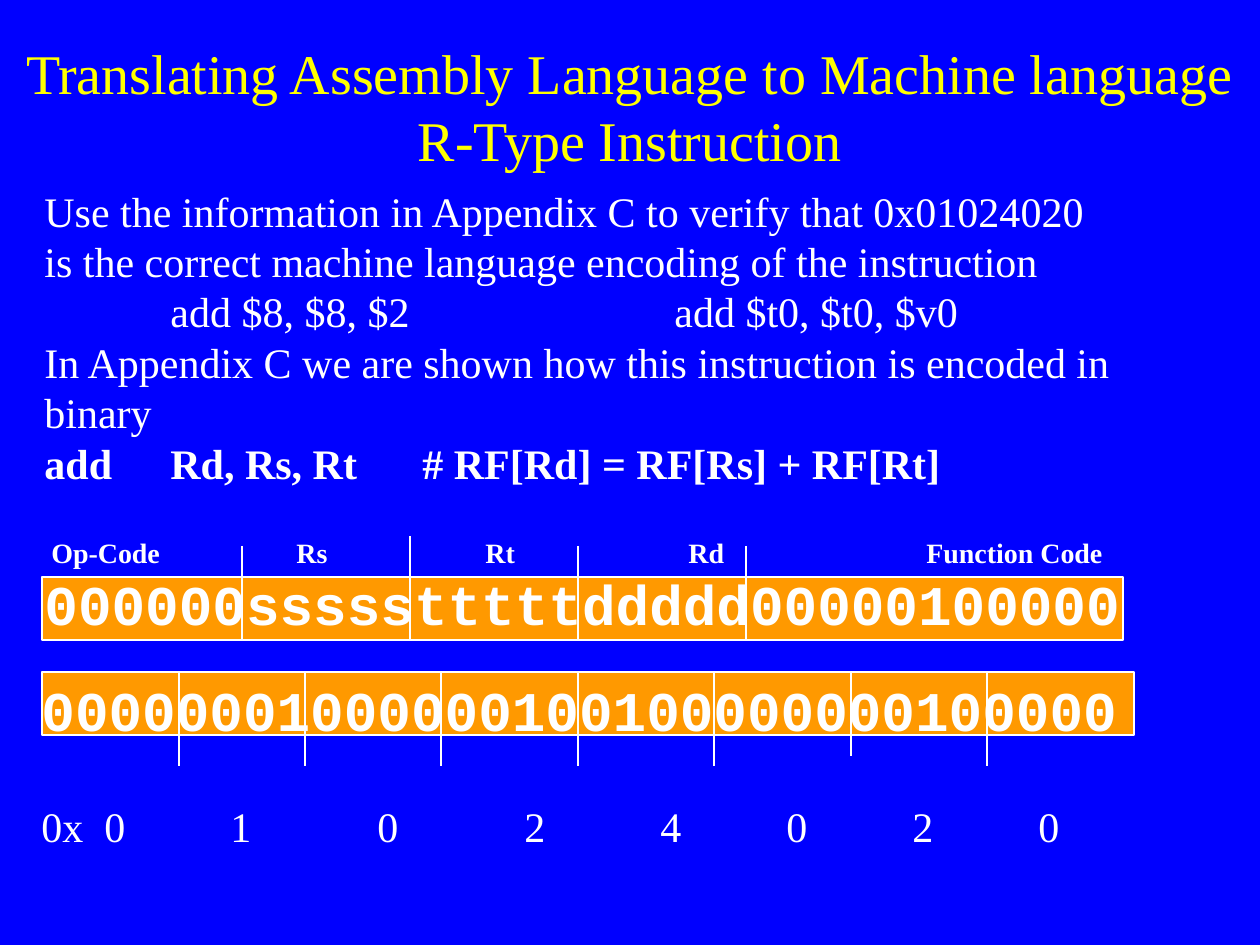
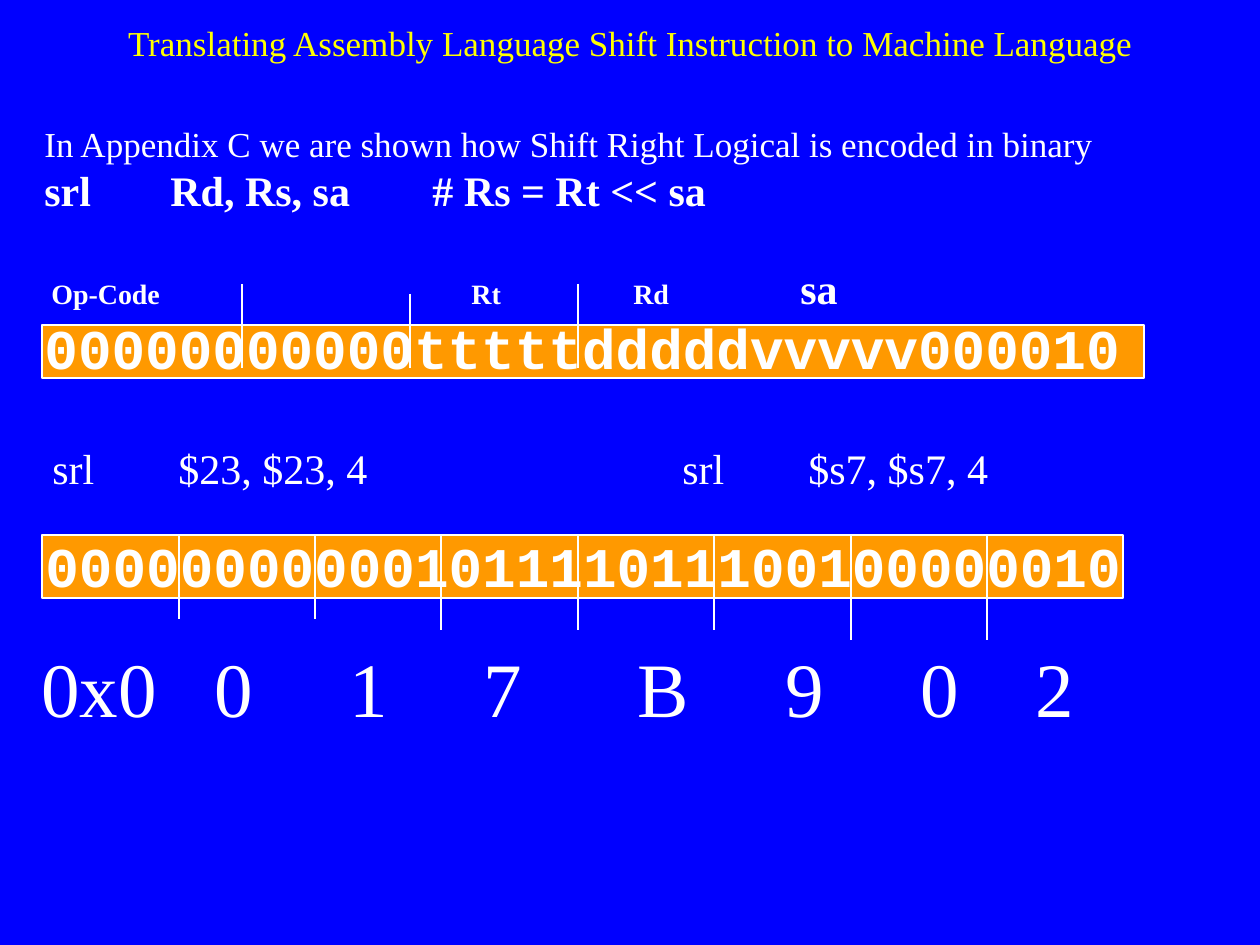
from dataclasses import dataclass

from lxml import etree
from pptx import Presentation
from pptx import util as u
from pptx.dml.color import RGBColor
from pptx.enum import shapes, text
from pptx.oxml.ns import qn

# Shared look
BLUE, YELLOW, WHITE, ORANGE = "0000FF", "FFFF00", "FFFFFF", "FF9900"
SERIF, MONO = "Times New Roman", "Courier New"
PX_PER_INCH = 126
SECTION_GAP = 27.6  # points above the field labels
FIELD_EDGES = [242, 410, 578, 746]
LATE_NIBBLE_EDGES = [441 + (273 * i + 1) // 2 for i in range(5)]


@dataclass
class Run:
    text: str
    size: int = 24
    bold: bool = False
    font: str = SERIF
    color: str = WHITE


@dataclass
class Line:
    runs: list
    stops: tuple = ()  # tab stops in px from the text edge
    before: float = 0


def px(length):
    return u.Emu(round(length * 914400 / PX_PER_INCH))


def rgb(color):
    return RGBColor.from_string(color)


def add_text(slide, box, lines, centered=False):
    """Text box holding one paragraph per Line."""
    shape = slide.shapes.add_textbox(*map(px, box))
    frame = shape.text_frame
    frame.word_wrap = True
    if centered:
        frame.vertical_anchor = text.MSO_ANCHOR.MIDDLE
    for index, line in enumerate(lines):
        paragraph = frame.add_paragraph() if index else frame.paragraphs[0]
        if line.stops:
            properties = paragraph._p.get_or_add_pPr()
            tabs = etree.SubElement(properties, qn("a:tabLst"))
            for stop in line.stops:
                etree.SubElement(tabs, qn("a:tab"), pos=str(px(stop)), algn="l")
        if centered:
            paragraph.alignment = text.PP_ALIGN.CENTER
        if line.before:
            paragraph.space_before = u.Pt(line.before)
        for part in line.runs:
            add_run(paragraph, part)


def add_run(paragraph, part):
    for index, piece in enumerate(part.text.split("\n")):
        if index:
            paragraph.add_line_break()
        run = paragraph.add_run()
        run.text = piece
        run.font.size = u.Pt(part.size)
        run.font.bold = part.bold
        run.font.name = part.font
        run.font.color.rgb = rgb(part.color)


def add_title(slide, box, title, size):
    add_text(slide, box, [Line([Run(title, size, color=YELLOW)])], centered=True)


def bits_line(bits):
    return Line([Run(bits, 32, True, MONO)])


def add_bar(slide, box):
    """Orange band behind a row of bits."""
    shape = slide.shapes.add_shape(shapes.MSO_SHAPE.RECTANGLE, *map(px, box))
    shape.shadow.inherit = False
    shape.fill.solid()
    shape.fill.fore_color.rgb = rgb(ORANGE)
    shape.line.color.rgb = rgb(WHITE)
    shape.line.width = u.Pt(0.75)


def add_divider(slide, x, top, bottom):
    line = slide.shapes.add_connector(
        shapes.MSO_CONNECTOR.STRAIGHT, px(x), px(top), px(x), px(bottom))
    line.line.color.rgb = rgb(WHITE)
    line.line.width = u.Pt(0.75)
    etree.SubElement(line._element.spPr, qn("a:effectLst"))


def add_field_dividers(slide, bar, rises, bottom):
    """Lines between instruction fields, rising above the bar."""
    for x, rise in zip(FIELD_EDGES, rises):
        add_divider(slide, x, bar[1] - rise, bottom)


def add_nibble_dividers(slide, bar, second_edge, drops):
    """Lines between groups of four bits, dropping below the bar."""
    left, top, width, height = bar
    for x, drop in zip([179, second_edge, *LATE_NIBBLE_EDGES], drops):
        add_divider(slide, x, top, top + height + drop)


def add_hex_row(slide, box, digits, stops, size):
    add_text(slide, box, [Line([Run("\t".join(digits), size)], stops)])


def build_r_type(slide):
    code_bar = (42, 672, 1092, 63)
    format_bar = (42, 577, 1081, 63)
    add_bar(slide, code_bar)
    add_bar(slide, format_bar)
    add_title(slide, (0, 32, 1260, 147),
              "Translating Assembly Language to Machine language\n"
              "R-Type Instruction", 32)

    # Explanation and instruction format
    add_text(slide, (32, 179, 1191, 466), [
        Line([Run("Use the information in Appendix C to verify that 0x01024020")]),
        Line([Run("is the correct machine language encoding of the instruction")]),
        Line([Run("\tadd $8, $8, $2\tadd $t0, $t0, $v0")], (126, 630)),
        Line([Run("In Appendix C we are shown how this instruction "
                  "is encoded in binary")]),
        Line([Run("add\tRd, Rs, Rt\t# RF[Rd] = RF[Rs] + RF[Rt]", bold=True)],
             (126, 378)),
        Line([Run("\tOp-Code\tRs\tRt\tRd\tFunction Code", 16, True)],
             (7, 252, 441, 644, 882), SECTION_GAP),
        bits_line("000000ssssstttttddddd00000100000"),
    ])
    add_field_dividers(slide, format_bar, (31, 41, 31, 31), 640)

    # Encoded instruction
    add_text(slide, (29, 669, 1178, 81),
             [bits_line("00000001000000100100000000100000")])
    add_nibble_dividers(slide, code_bar, 305, (31, 31, 31, 31, 31, 21, 31))
    add_hex_row(slide, (29, 794, 1178, 63), ["0x", *"01024020"],
                (63, 189, 336, 483, 619, 745, 871, 997), 24)


def build_shift(slide):
    code_bar = (42, 535, 1081, 63)
    format_bar = (42, 325, 1102, 53)
    add_bar(slide, code_bar)
    add_bar(slide, format_bar)
    add_title(slide, (95, 0, 1071, 84),
              "Translating Assembly Language Shift Instruction "
              "to Machine Language", 20)

    # Explanation and instruction format
    add_text(slide, (32, 116, 1166, 273), [
        Line([Run("In Appendix C we are shown how Shift Right Logical "
                  "is encoded in binary", 20)]),
        Line([Run("srl\tRd, Rs, sa\t# Rs = Rt << sa", bold=True)], (126, 388)),
        Line([Run("\tOp-Code\tRt\tRd\t", 16, True), Run("sa", bold=True)],
             (7, 427, 589, 756), SECTION_GAP),
        bits_line("00000000000tttttdddddvvvvv000010"),
    ])
    add_field_dividers(slide, format_bar, (41, 31, 41), 368)

    # Example and its encoding
    add_text(slide, (40, 436, 1100, 63), [
        Line([Run("srl\t$23, $23, 4\tsrl\t$s7, $s7, 4")], (126, 630, 756))])
    add_text(slide, (33, 525, 1178, 81),
             [bits_line("00000000000101111011100100000010")])
    add_nibble_dividers(slide, code_bar, 315, (21, 21, 32, 32, 32, 42, 42))
    add_hex_row(slide, (29, 634, 1178, 106), ["0x0", *"017B902"[0:]],
                (173, 308, 442, 596, 744, 879, 994), 44)


def main():
    presentation = Presentation()
    presentation.slide_width, presentation.slide_height = px(1260), px(945)
    for build in (build_r_type, build_shift):
        slide = presentation.slides.add_slide(presentation.slide_layouts[6])
        slide.background.fill.solid()
        slide.background.fill.fore_color.rgb = rgb(BLUE)
        build(slide)
    presentation.save("out.pptx")


if __name__ == "__main__":
    main()
